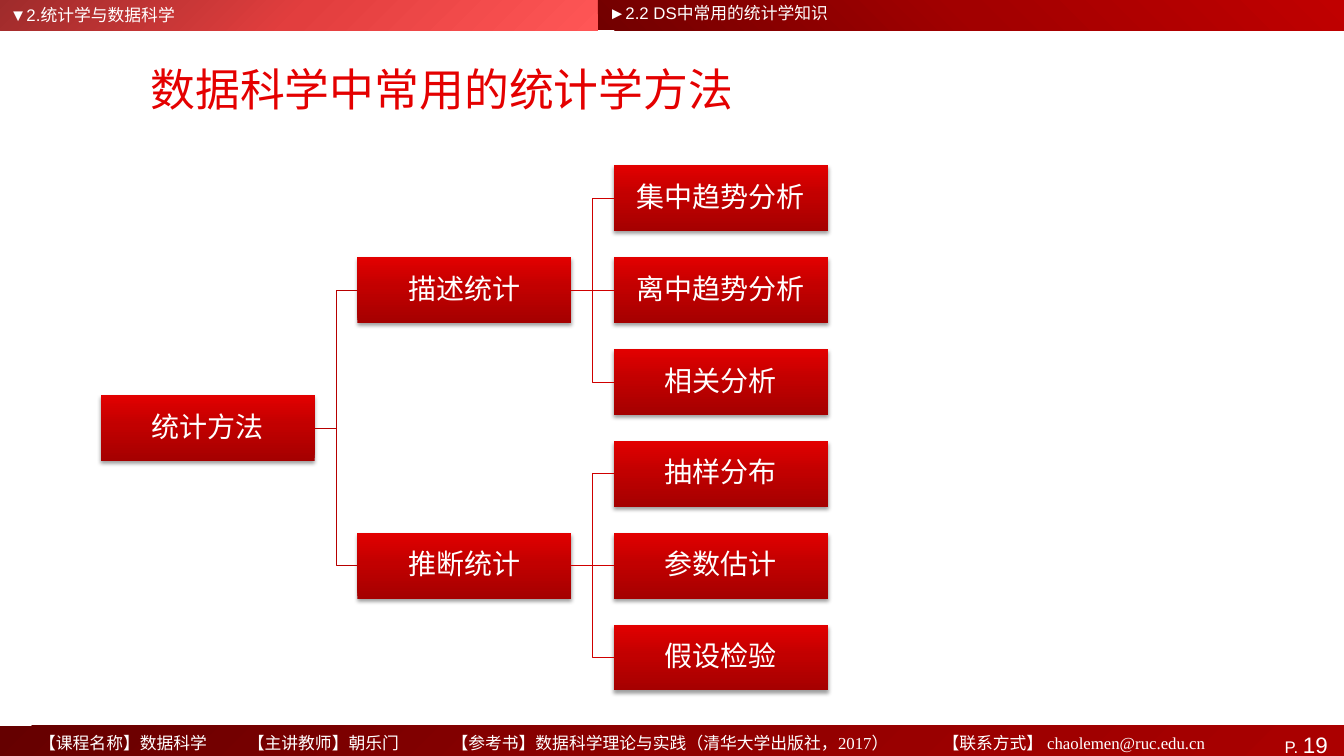
from pptx import Presentation
from pptx.dml.color import RGBColor
from pptx.enum.shapes import MSO_CONNECTOR as Connector, MSO_SHAPE as Shape
from pptx.enum.text import MSO_ANCHOR as Anchor, PP_ALIGN as Align
from pptx.oxml import parse_xml
from pptx.oxml.ns import nsdecls, qn
from pptx.util import Inches, Pt

TITLE = "数据科学中常用的统计学方法"
CHAPTER = "▼2.统计学与数据科学"
SECTION = "►2.2 DS中常用的统计学知识"
FOOTER = [
    "【课程名称】数据科学",
    "【主讲教师】朝乐门",
    "【参考书】数据科学理论与实践（清华大学出版社，2017）",
    "【联系方式】 chaolemen@ruc.edu.cn",
]
FOOTER_TABS = [2.07, 4.09, 8.96]
PAGE = [("P. ", 12), ("19", 16)]
ROOT = "统计方法"
BRANCHES = {
    "描述统计": ["集中趋势分析", "离中趋势分析", "相关分析"],
    "推断统计": ["抽样分布", "参数估计", "假设检验"],
}

COLORS = {"title": "E40000", "text": "FFFFFF", "root_line": "B70000", "branch_line": "CF0000"}
GRADIENTS = {
    "chapter": ([(0, "9F2B2B"), (50, "E23E3E"), (100, "FF5656")], 45),
    "section": ([(0, "720000"), (50, "A20000"), (100, "C00000")], 315),
    "footer": ([(0, "650000"), (50, "900000"), (100, "AB0000")], 45),
    "node": ([(0, "A50000"), (55, "C20000"), (100, "E20000")], 270),
}
LATIN, CHINESE, SERIF = "Arial", "Noto Sans CJK SC", "Times New Roman"
NODE_WIDTH, NODE_HEIGHT = 2.12, 0.65
TREE_LEFT, TREE_TOP = 1, 1.64
COLUMN_PITCH, ROW_PITCH = 2.545, 0.912

presentation = Presentation()
presentation.slide_width, presentation.slide_height = Inches(13.33), Inches(7.5)
slide = presentation.slides.add_slide(presentation.slide_layouts[5])


def add_text(paragraph, text, size=12, font=LATIN, color="text", align=Align.LEFT):
    paragraph.alignment = align
    run = paragraph.add_run()
    run.text = text
    run.font.size = Pt(size)
    run.font.name = font
    run.font.color.rgb = RGBColor.from_string(COLORS[color])
    run.font._element.find(qn("a:latin")).addnext(
        parse_xml(f'<a:ea {nsdecls("a")} typeface="{CHINESE}"/>'))


def set_frame(shape, anchor=Anchor.TOP, left=0.1, top=0.05, right=0.1, bottom=0.05):
    frame = shape.text_frame
    frame.word_wrap = True
    frame.vertical_anchor = anchor
    frame.margin_left, frame.margin_top = Inches(left), Inches(top)
    frame.margin_right, frame.margin_bottom = Inches(right), Inches(bottom)
    return frame.paragraphs[0]


def add_panel(left, top, width, height, gradient):
    shape = slide.shapes.add_shape(
        Shape.RECTANGLE, Inches(left), Inches(top), Inches(width), Inches(height))
    stops, angle = GRADIENTS[gradient]
    stop_xml = "".join(
        f'<a:gs pos="{position * 1000}"><a:srgbClr val="{color}"/></a:gs>'
        for position, color in stops)
    shape.fill.gradient()
    properties = shape._element.spPr
    properties.replace(properties.find(qn("a:gradFill")), parse_xml(
        f'<a:gradFill {nsdecls("a")} rotWithShape="1"><a:gsLst>{stop_xml}</a:gsLst>'
        f'<a:lin ang="{angle * 60000}" scaled="0"/></a:gradFill>'))
    shape.line.fill.background()
    shape.shadow.inherit = False
    return shape


def add_label(left, top, width, height, inset_top=0.05):
    box = slide.shapes.add_textbox(Inches(left), Inches(top), Inches(width), Inches(height))
    return set_frame(box, top=inset_top)


def add_node(text, column, row):
    node = add_panel(TREE_LEFT + column * COLUMN_PITCH, TREE_TOP + row * ROW_PITCH,
                     NODE_WIDTH, NODE_HEIGHT, "node")
    node._element.spPr.find(qn("a:effectLst")).append(parse_xml(
        f'<a:outerShdw {nsdecls("a")} blurRad="{Pt(3.1)}" dist="{Pt(2)}" dir="5400000" '
        'rotWithShape="0"><a:srgbClr val="000000"><a:alpha val="38000"/></a:srgbClr>'
        '</a:outerShdw>'))
    paragraph = set_frame(node, Anchor.MIDDLE, 0.01, 0.01, 0.01, 0.01)
    paragraph.line_spacing = 0.9
    add_text(paragraph, text, size=20, align=Align.CENTER)
    return node


def link(parent, child, color):
    kind = Connector.STRAIGHT if parent.top == child.top else Connector.ELBOW
    connector = slide.shapes.add_connector(kind, 0, 0, 0, 0)
    connector.begin_connect(parent, 3)
    connector.end_connect(child, 1)
    connector.line.color.rgb = RGBColor.from_string(COLORS[color])
    connector.line.width = Pt(0.5)
    connector._element.spPr.append(parse_xml(f'<a:effectLst {nsdecls("a")}/>'))


def build_bars():
    add_panel(0, 0, 5.93, 0.3, "chapter")
    add_panel(5.93, 0, 7.4, 0.3, "section")
    add_text(add_label(0, 0, 4.83, 0.29), CHAPTER)
    add_text(add_label(5.94, 0, 3.72, 0.29, inset_top=0.03), SECTION)
    footer = add_panel(0, 7.2, 13.33, 0.37, "footer")
    page = set_frame(footer, Anchor.MIDDLE, right=0.16)
    for text, size in PAGE:
        add_text(page, text, size=size, align=Align.RIGHT)
    paragraph = add_label(0.29, 7.22, 12.26, 0.41)
    tabs = "".join(f'<a:tab pos="{Inches(tab)}" algn="l"/>' for tab in FOOTER_TABS)
    paragraph._p.get_or_add_pPr().append(
        parse_xml(f'<a:tabLst {nsdecls("a")}>{tabs}</a:tabLst>'))
    add_text(paragraph, "\t".join(FOOTER), font=SERIF)


def build_title():
    title = slide.shapes.title
    title.left, title.top = Inches(0.44), Inches(0.43)
    title.width, title.height = Inches(7.89), Inches(0.9)
    add_text(set_frame(title, Anchor.MIDDLE), TITLE,
             size=32, font=CHINESE, color="title", align=Align.CENTER)


def build_tree():
    branches, first_row = [], 0
    for name, leaves in BRANCHES.items():
        branch_row = first_row + (len(leaves) - 1) / 2
        branch = add_node(name, 1, branch_row)
        for offset, leaf in enumerate(leaves):
            link(branch, add_node(leaf, 2, first_row + offset), "branch_line")
        branches.append((branch, branch_row))
        first_row += len(leaves)
    root = add_node(ROOT, 0, sum(row for _, row in branches) / len(branches))
    for branch, _ in branches:
        link(root, branch, "root_line")


def main():
    build_bars()
    build_title()
    build_tree()
    presentation.save("out.pptx")


if __name__ == "__main__":
    main()
